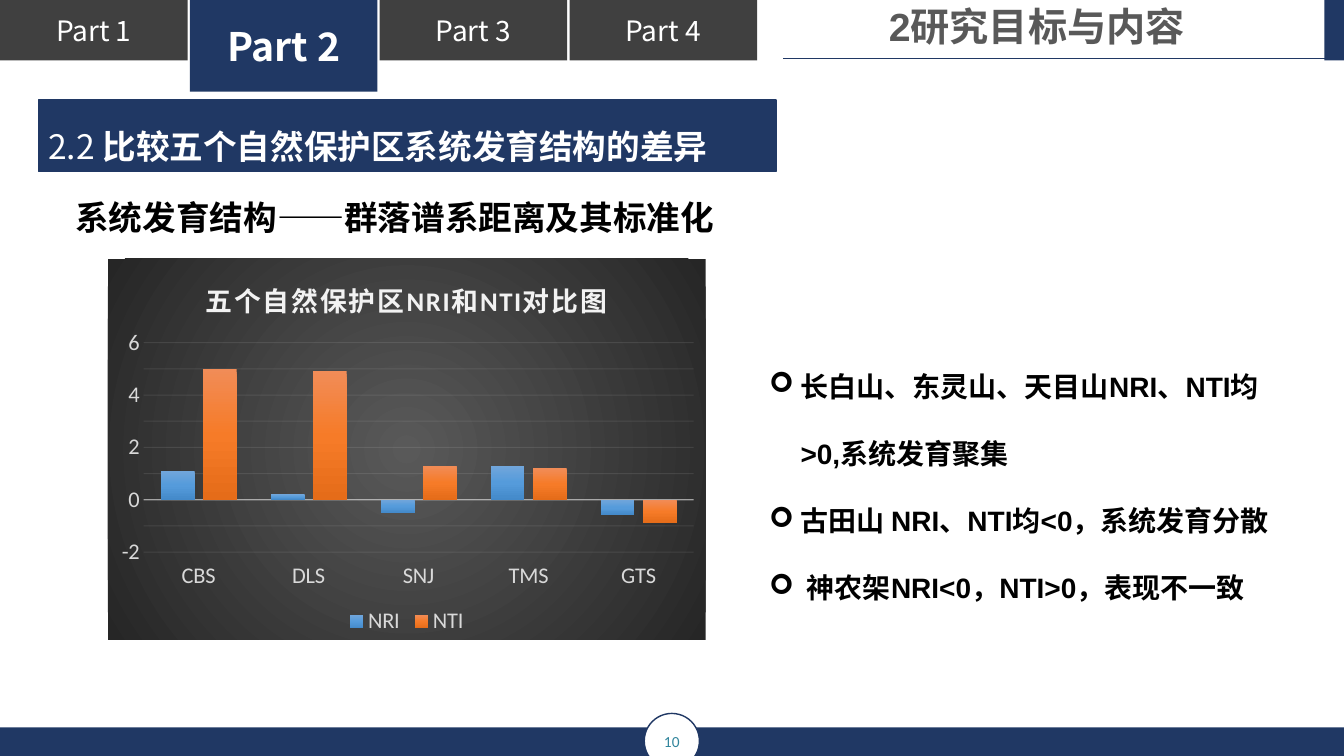
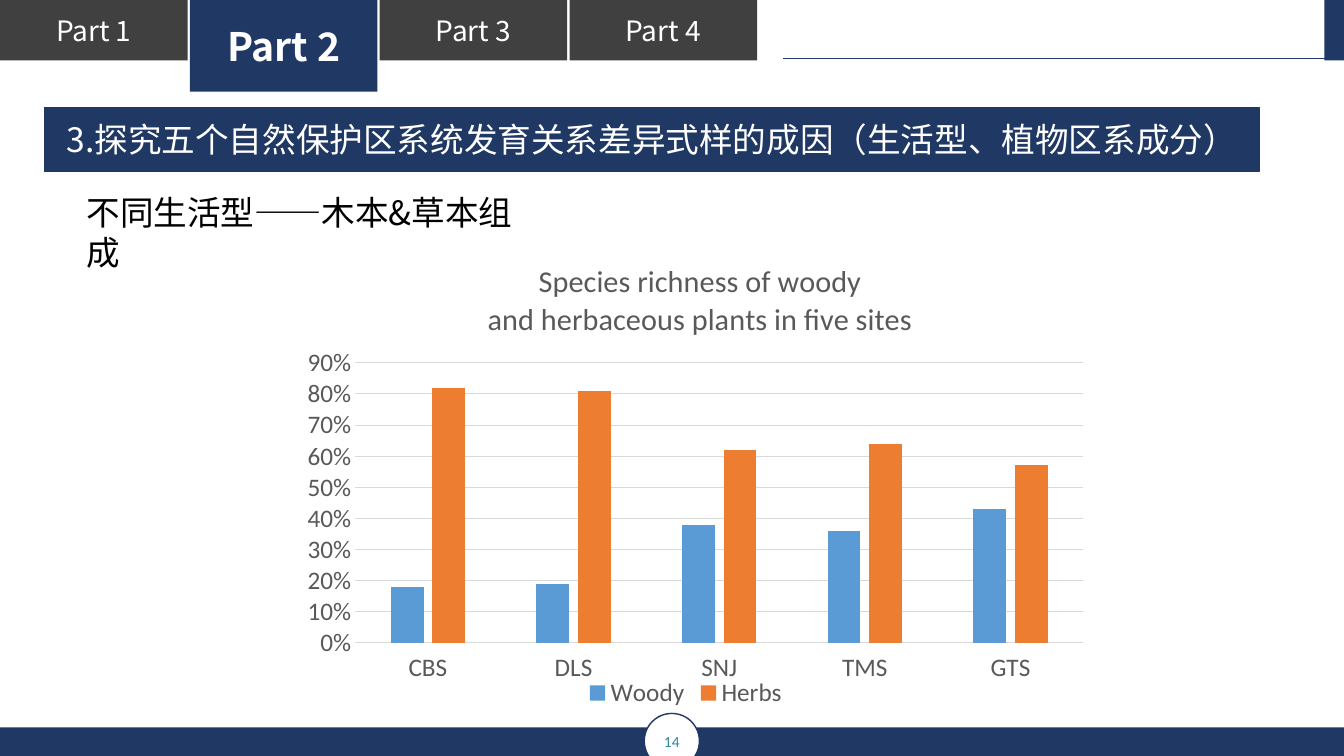
"""Build two slides on the phylogenetic structure of five nature reserves."""
from copy import deepcopy
from dataclasses import dataclass
from typing import Any, Optional, Sequence

import lxml.etree
import pptx
import pptx.chart.data
import pptx.dml.color
import pptx.enum.chart
import pptx.enum.shapes
import pptx.enum.text
import pptx.oxml.ns
import pptx.util

Pt = pptx.util.Pt
qn = pptx.oxml.ns.qn
Align = pptx.enum.text.PP_ALIGN
Anchor = pptx.enum.text.MSO_ANCHOR
Preset = pptx.enum.shapes.MSO_SHAPE


@dataclass(frozen=True)
class Theme:
    navy: str = "203864"
    charcoal: str = "404040"
    white: str = "FFFFFF"
    black: str = "000000"
    gray: str = "595959"
    pale: str = "D9D9D9"
    light: str = "F2F2F2"
    teal: str = "31859C"
    sans: str = "Noto Sans CJK SC"
    arial: str = "Arial"
    calibri: str = "Calibri"
    title_size: float = 28
    heading_size: float = 24
    body_size: float = 20
    number_size: float = 11


THEME = Theme()


@dataclass(frozen=True)
class Box:
    left: float
    top: float
    width: float
    height: float

    def lengths(self) -> tuple:
        return tuple(Pt(value) for value in (self.left, self.top, self.width, self.height))


@dataclass(frozen=True)
class Piece:
    text: str
    font: Optional[str] = None
    bold: Optional[bool] = None


@dataclass(frozen=True)
class Series:
    name: str
    values: tuple
    colors: tuple


@dataclass(frozen=True)
class ChartDesign:
    box: Box
    title: tuple
    series: tuple
    size: float
    text_color: str
    title_color: str
    axis_color: str
    axis_width: float
    gap: int
    overlap: int
    plot: tuple
    number_format: str
    scale: tuple
    title_place: Optional[tuple] = None
    legend_place: Optional[tuple] = None
    dark: bool = False


SITES = ("CBS", "DLS", "SNJ", "TMS", "GTS")
TABS = ("Part 1", "Part 2", "Part 3", "Part 4")
ACTIVE_TAB = "Part 2"

INDEX_CHART = ChartDesign(
    box=Box(77, 185, 427, 272), title=("五个自然保护区NRI和NTI对比图",),
    series=(Series("NRI", (1.1, 0.2, -0.5, 1.3, -0.6), ("71A6DB", "559BDB", "448ACA")),
            Series("NTI", (5, 4.9, 1.3, 1.2, -0.9), ("F18C57", "F67B28", "E56C19"))),
    size=16, text_color=THEME.pale, title_color=THEME.light,
    axis_color=THEME.light, axis_width=1, gap=100, overlap=-24,
    plot=(0.06, 0.22, 0.92, 0.55), number_format="General", scale=(-2, 6, 2), dark=True)

RICHNESS_CHART = ChartDesign(
    box=Box(207.4, 170, 578, 357),
    title=("Species richness of woody", "and herbaceous plants in five sites"),
    series=(Series("Woody", (0.18, 0.19, 0.38, 0.36, 0.43), ("5B9BD5",)),
            Series("Herbs", (0.82, 0.81, 0.62, 0.64, 0.57), ("ED7D31",))),
    size=18, text_color=THEME.gray, title_color=THEME.gray,
    axis_color=THEME.pale, axis_width=0.75, gap=219, overlap=-27,
    plot=(0.08, 0.25, 0.9, 0.56), number_format="0%", scale=(0, 0.9, 0.1),
    title_place=(0.24, 0.04), legend_place=(0.36, 0.87))


def rgb(color: str) -> pptx.dml.color.RGBColor:
    return pptx.dml.color.RGBColor.from_string(color)


def style_font(font: Any, size: float, color: str, name: str, bold: bool = False) -> None:
    font.size, font.name, font.bold = Pt(size), name, bold
    font.fill.solid()
    font.fill.fore_color.rgb = rgb(color)


def write_text(frame: Any, paragraphs: Sequence, *, size: float, color: str = THEME.black,
               font: str = THEME.sans, bold: bool = False, align: Any = None,
               line_spacing: Optional[float] = None, bullet: Optional[str] = None,
               indents: Sequence[float] = ()) -> None:
    for index, content in enumerate(paragraphs):
        paragraph = frame.paragraphs[0] if index == 0 else frame.add_paragraph()
        if align is not None:
            paragraph.alignment = align
        if line_spacing:
            paragraph.line_spacing = line_spacing
        if bullet:
            properties = paragraph._p.get_or_add_pPr()
            properties.set("marL", str(Pt(indents[index])))
            properties.set("indent", str(-Pt(indents[index])))
            lxml.etree.SubElement(properties, qn("a:buFont")).set("typeface", "Wingdings")
            lxml.etree.SubElement(properties, qn("a:buChar")).set("char", bullet)
        for piece in (Piece(content),) if isinstance(content, str) else content:
            run = paragraph.add_run()
            run.text = piece.text
            style_font(run.font, size, color, piece.font or font,
                       bold if piece.bold is None else piece.bold)
            properties = run._r.get_or_add_rPr()
            lxml.etree.SubElement(properties, qn("a:ea")).set("typeface", THEME.sans)


def add_panel(slide: Any, box: Box, fill: str, line: Optional[str] = None,
              preset: Any = Preset.RECTANGLE) -> Any:
    shape = slide.shapes.add_shape(preset, *box.lengths())
    shape.shadow.inherit = False
    shape.fill.solid()
    shape.fill.fore_color.rgb = rgb(fill)
    if line:
        shape.line.color.rgb = rgb(line)
        shape.line.width = Pt(1)
    else:
        shape.line.fill.background()
    shape.text_frame.word_wrap = True
    shape.text_frame.vertical_anchor = Anchor.MIDDLE
    return shape


def add_text_box(slide: Any, box: Box, paragraphs: Sequence, wrap: bool = True,
                 **text_format: Any) -> None:
    frame = slide.shapes.add_textbox(*box.lengths()).text_frame
    frame.word_wrap = wrap
    frame.auto_size = pptx.enum.text.MSO_AUTO_SIZE.SHAPE_TO_FIT_TEXT
    write_text(frame, paragraphs, **text_format)


def add_frame(slide: Any, number: int) -> None:
    for index, label in enumerate(TABS):
        active = label == ACTIVE_TAB
        tab = add_panel(slide, Box(index * 135.6, 0, 134, 65.5 if active else 43.2),
                        THEME.navy if active else THEME.charcoal)
        write_text(tab.text_frame, [label], color=THEME.white, bold=active, align=Align.CENTER,
                   size=THEME.title_size if active else THEME.body_size)
    add_panel(slide, Box(946, 0, 14, 43.2), THEME.navy)
    add_panel(slide, Box(0, 519.6, 960, 20.4), THEME.navy)
    badge = add_panel(slide, Box(460.2, 509.6, 39.4, 39.4), THEME.white, THEME.navy, Preset.OVAL)
    badge.text_frame.margin_left = badge.text_frame.margin_right = 0
    write_text(badge.text_frame, [str(number)], size=THEME.number_size, color=THEME.teal,
               font=THEME.calibri, align=Align.CENTER)
    rule = slide.shapes.add_connector(pptx.enum.shapes.MSO_CONNECTOR.STRAIGHT,
                                      Pt(952.6), Pt(41.8), Pt(559.4), Pt(41.8))
    rule.line.color.rgb = rgb(THEME.navy)
    rule.line.width = Pt(0.5)
    lxml.etree.SubElement(rule._element.spPr, qn("a:effectLst"))


def gradient(colors: Sequence[str], radial: bool = False) -> Any:
    fill = lxml.etree.Element(qn("a:gradFill"), rotWithShape="1")
    stops = lxml.etree.SubElement(fill, qn("a:gsLst"))
    for index, color in enumerate(colors):
        position = str(100000 * index // (len(colors) - 1))
        stop = lxml.etree.SubElement(stops, qn("a:gs"), pos=position)
        lxml.etree.SubElement(stop, qn("a:srgbClr"), val=color)
    if radial:
        shade = lxml.etree.SubElement(fill, qn("a:path"))
        shade.set("path", "circle")
        lxml.etree.SubElement(shade, qn("a:fillToRect"),
                              {side: "50000" for side in "ltrb"})
    else:
        lxml.etree.SubElement(fill, qn("a:lin"), ang="5400000", scaled="0")
    return fill


def set_layout(parent: Any, index: int, place: Sequence[float]) -> None:
    for old in parent.findall(qn("c:layout")):
        parent.remove(old)
    layout = lxml.etree.Element(qn("c:layout"))
    manual = lxml.etree.SubElement(layout, qn("c:manualLayout"))
    entries = [("xMode", "edge"), ("yMode", "edge"), *zip("xywh", place)]
    if len(place) == 4:
        entries.insert(0, ("layoutTarget", "inner"))
    for tag, value in entries:
        lxml.etree.SubElement(manual, qn(f"c:{tag}")).set("val", str(value))
    parent.insert(index, layout)


def set_opacity(parent: Any, percent: int) -> None:
    for color in parent.iter(qn("a:srgbClr")):
        lxml.etree.SubElement(color, qn("a:alpha")).set("val", str(percent * 1000))


def darken_chart(chart: Any, design: ChartDesign) -> None:
    root = chart.element
    background = lxml.etree.Element(qn("c:spPr"))
    background.append(gradient((THEME.gray, "262626"), radial=True))
    line = lxml.etree.SubElement(background, qn("a:ln"))
    lxml.etree.SubElement(line, qn("a:noFill"))
    root.find(qn("c:chart")).addnext(background)
    for node, series in zip(root.iter(qn("c:ser")), design.series):
        properties = node.find(qn("c:spPr"))
        properties.replace(properties.find(qn("a:solidFill")), gradient(series.colors))
    major = next(root.iter(qn("c:majorGridlines")))
    set_opacity(major, 10)
    chart.value_axis.has_minor_gridlines = True
    chart.value_axis.minor_unit = 1
    next(root.iter(qn("c:minorGridlines"))).append(deepcopy(major.find(qn("c:spPr"))))
    set_opacity(next(root.iter(qn("c:catAx"))).find(qn("c:spPr")), 54)
    for properties in next(root.iter(qn("c:title"))).iter(qn("a:rPr")):
        properties.set("spc", "100")


def add_column_chart(slide: Any, design: ChartDesign) -> None:
    data = pptx.chart.data.CategoryChartData(number_format=design.number_format)
    data.categories = SITES
    for series in design.series:
        data.add_series(series.name, series.values)
    kinds = pptx.enum.chart
    chart = slide.shapes.add_chart(kinds.XL_CHART_TYPE.COLUMN_CLUSTERED,
                                   *design.box.lengths(), data).chart
    style_font(chart.font, design.size, THEME.black, THEME.calibri)
    plot = chart.plots[0]
    plot.gap_width, plot.overlap, plot.vary_by_categories = design.gap, design.overlap, False
    for drawn, series in zip(plot.series, design.series):
        drawn.invert_if_negative = False
        drawn.format.fill.solid()
        drawn.format.fill.fore_color.rgb = rgb(series.colors[0])

    chart.has_title = True
    write_text(chart.chart_title.text_frame, design.title, size=design.size * 1.2,
               color=design.title_color, font=THEME.calibri, bold=design.dark)
    chart.chart_title.include_in_layout = False
    chart.has_legend = True
    chart.legend.position = kinds.XL_LEGEND_POSITION.BOTTOM
    chart.legend.include_in_layout = False

    category, value = chart.category_axis, chart.value_axis
    for owner in (category.tick_labels, value.tick_labels, chart.legend):
        style_font(owner.font, design.size, design.text_color, THEME.calibri)
    for axis in (category, value):
        axis.major_tick_mark = axis.minor_tick_mark = kinds.XL_TICK_MARK.NONE
    category.tick_label_position = kinds.XL_TICK_LABEL_POSITION.LOW
    value.minimum_scale, value.maximum_scale, value.major_unit = design.scale
    value.tick_labels.number_format = design.number_format
    value.tick_labels.number_format_is_linked = False
    value.format.line.fill.background()
    for line, width in ((category.format.line, design.axis_width),
                        (value.major_gridlines.format.line, 0.75)):
        line.color.rgb = rgb(design.axis_color)
        line.width = Pt(width)

    for tag, index, place in (("plotArea", 0, design.plot), ("title", 1, design.title_place),
                              ("legend", 1, design.legend_place)):
        if place:
            set_layout(next(chart.element.iter(qn(f"c:{tag}"))), index, place)
    if design.dark:
        darken_chart(chart, design)


def build_index_slide(slide: Any) -> None:
    add_frame(slide, 10)
    add_text_box(slide, Box(46.8, 122.4, 477.4, 45.4), ["系统发育结构——群落谱系距离及其标准化"],
                 wrap=False, size=THEME.heading_size, font=THEME.arial, bold=True, line_spacing=1.5)
    add_text_box(slide, Box(542.2, -2, 396.7, 41), ["2研究目标与内容"], size=THEME.title_size,
                 color=THEME.gray, font=THEME.arial, bold=True, align=Align.CENTER)
    add_text_box(slide, Box(542.2, 236.2, 380.2, 200.9),
                 ["长白山、东灵山、天目山NRI、NTI均>0,系统发育聚集",
                  "古田山 NRI、NTI均<0，系统发育分散",
                  "神农架NRI<0，NTI>0，表现不一致"],
                 size=THEME.body_size, font=THEME.arial, bold=True, line_spacing=2.0,
                 bullet="➢", indents=(22.5, 22.5, 27))
    add_column_chart(slide, INDEX_CHART)
    heading = add_panel(slide, Box(27.4, 71.3, 527, 51.1), THEME.navy, THEME.navy)
    write_text(heading.text_frame,
               [(Piece("2.2 "), Piece("比较五个自然保护区系统发育结构的差异", THEME.calibri, True))],
               size=THEME.heading_size, color=THEME.white, align=Align.JUSTIFY, line_spacing=1.5)


def build_richness_slide(slide: Any) -> None:
    add_frame(slide, 14)
    add_column_chart(slide, RICHNESS_CHART)
    heading = add_panel(slide, Box(31.7, 77, 867.6, 45.4), THEME.navy, THEME.navy)
    write_text(heading.text_frame, ["3.探究五个自然保护区系统发育关系差异式样的成因（生活型、植物区系成分）"],
               size=THEME.heading_size, color=THEME.white, align=Align.CENTER)
    add_text_box(slide, Box(54.7, 133.2, 342, 36), ["不同生活型——木本&草本组成"],
                 size=THEME.heading_size)


def main() -> None:
    presentation = pptx.Presentation()
    presentation.slide_width, presentation.slide_height = Pt(960), Pt(540)
    for build in (build_index_slide, build_richness_slide):
        build(presentation.slides.add_slide(presentation.slide_layouts[6]))
    presentation.save("out.pptx")


if __name__ == "__main__":
    main()
